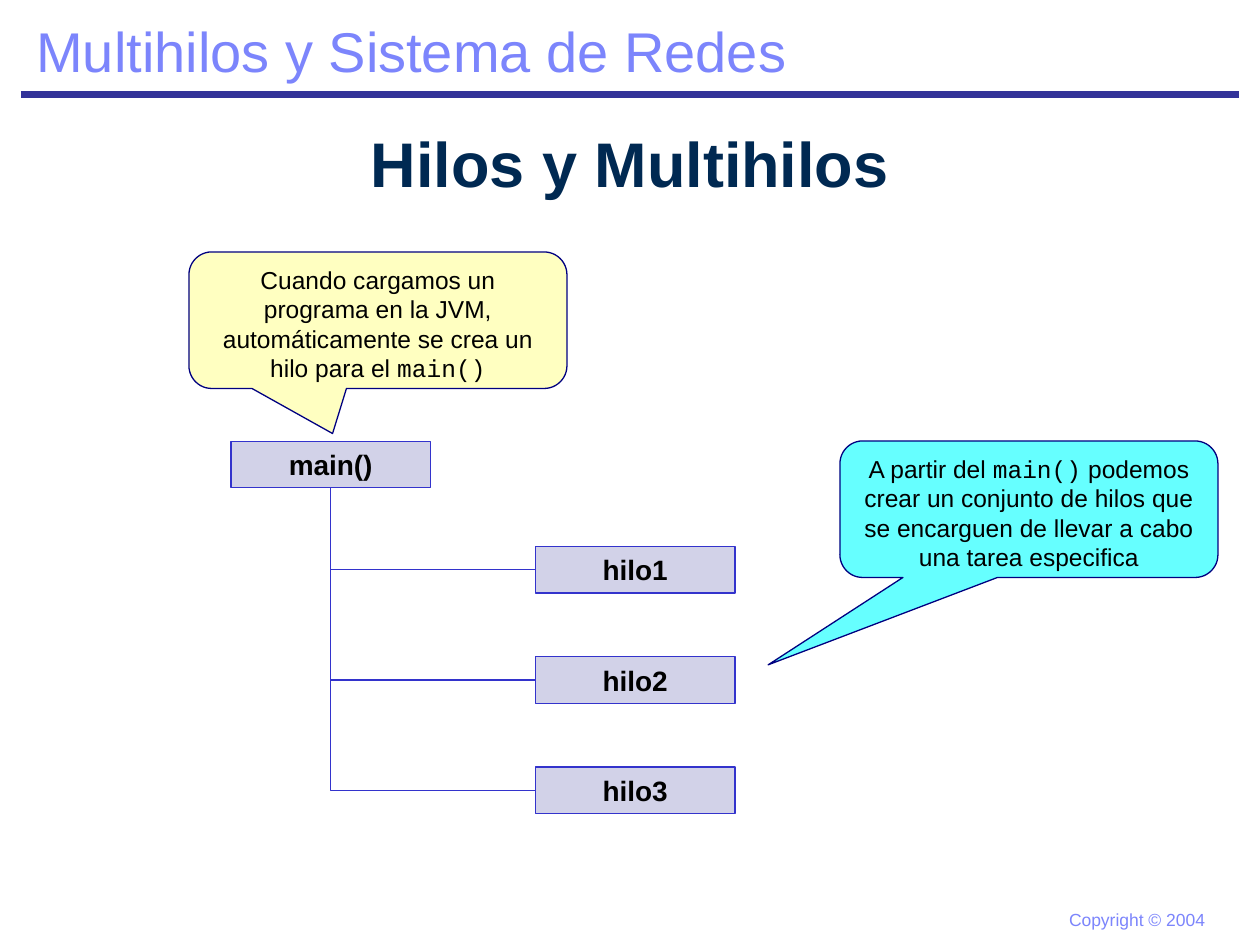
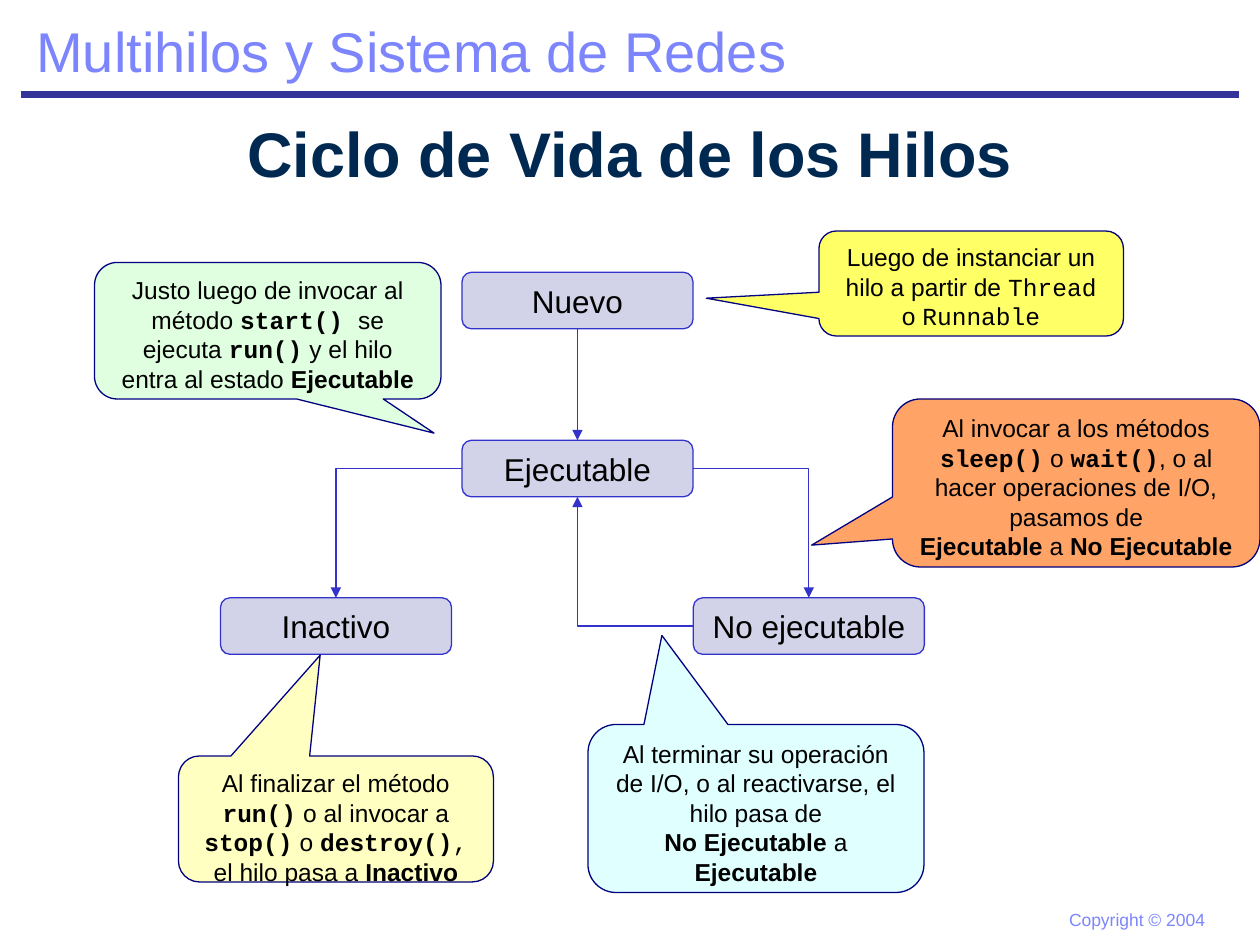
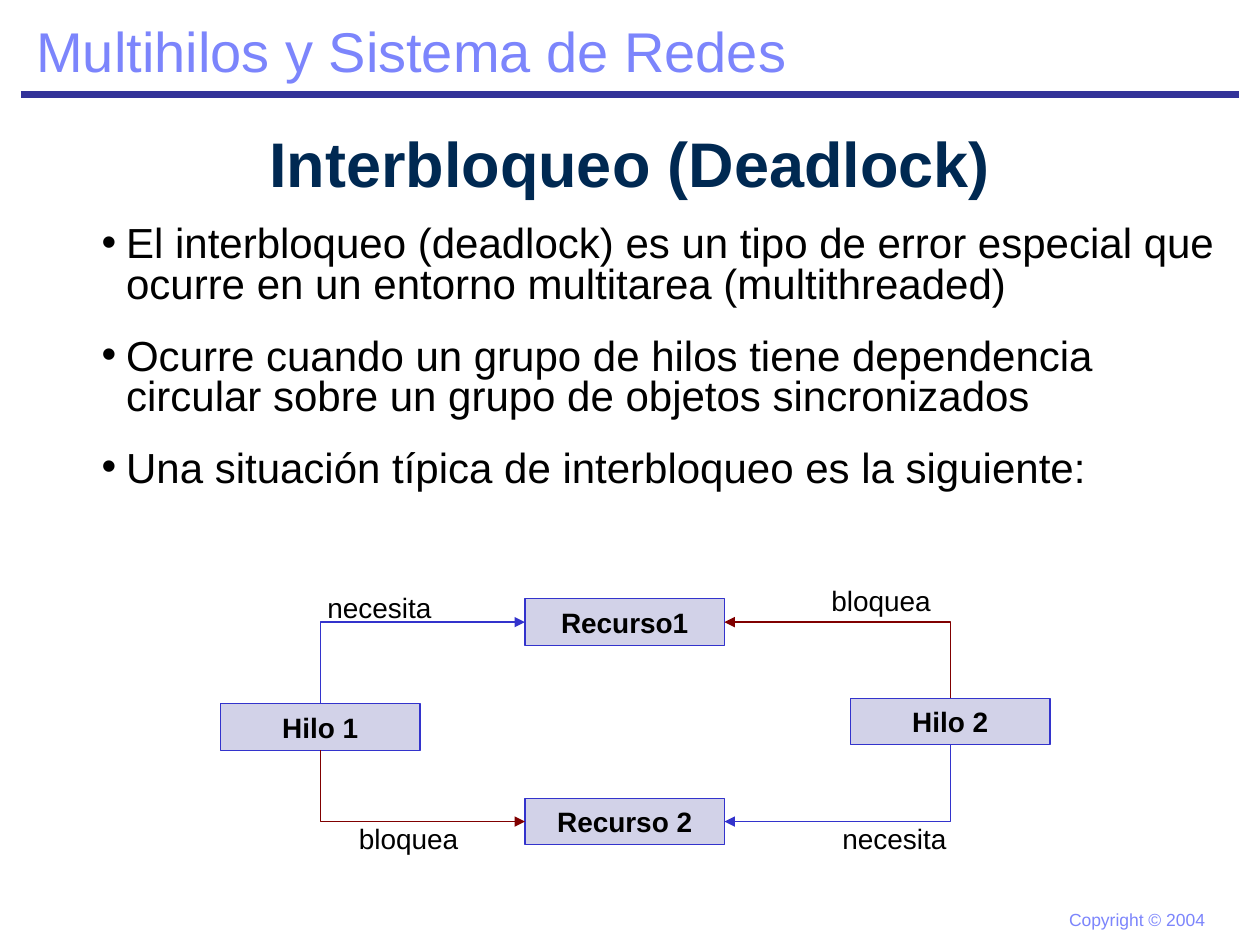
"""Builds three slides on threads, their life cycle and deadlock."""
import pptx
import pptx.dml.color
import pptx.enum.shapes
import pptx.enum.text
import pptx.oxml.ns
import pptx.util
from lxml import etree

Pt = pptx.util.Pt
RGBColor = pptx.dml.color.RGBColor
SHAPE = pptx.enum.shapes.MSO_SHAPE
CONNECTOR = pptx.enum.shapes.MSO_CONNECTOR
ALIGN = pptx.enum.text.PP_ALIGN
ANCHOR = pptx.enum.text.MSO_ANCHOR
qn = pptx.oxml.ns.qn

INDIGO = RGBColor(0x33, 0x33, 0x99)
BLUE = RGBColor(0x33, 0x33, 0xCC)
NAVY = RGBColor(0x00, 0x00, 0x80)
MAROON = RGBColor(0x80, 0x00, 0x00)
PERIWINKLE = RGBColor(0x7C, 0x85, 0xFC)
TITLE_BLUE = RGBColor(0x00, 0x29, 0x52)
BLACK = RGBColor(0x00, 0x00, 0x00)
CREAM = RGBColor(0xFF, 0xFF, 0x99)
CYAN = RGBColor(0x00, 0xFF, 0xFF)
YELLOW = RGBColor(0xFF, 0xFF, 0x00)
MINT = RGBColor(0xCC, 0xFF, 0xCC)
ORANGE = RGBColor(0xFF, 0x66, 0x00)
ICE = RGBColor(0xCC, 0xFF, 0xFF)

SANS, MONO = "Arial", "Courier New"
SLIDE_WIDTH, SLIDE_HEIGHT = 720, 540
TOP, LEFT, BOTTOM, RIGHT = range(4)

HEADER = "Multihilos y Sistema de Redes"
FOOTER = "Copyright © 2004"

BOX = dict(preset=SHAPE.RECTANGLE, width=114, height=26.6, size=16, bold=True, space_after=0)
STATE = dict(preset=SHAPE.FLOWCHART_ALTERNATE_PROCESS, width=132, height=32.3, size=18,
             bold=False, space_after=6)

THREADS = {
    "title": "Hilos y Multihilos",
    "title_top": 66,
    "node_style": BOX,
    "nodes": {"main()": (132, 252.2),
              **{f"hilo{number}": (306, 249.3 + 63 * number) for number in (1, 2, 3)}},
    "links": [(f"hilo{number}", LEFT, "main()", BOTTOM, BLUE, False) for number in (1, 2, 3)],
    "callouts": [
        ((108, 144, 216, 78), (-0.12, 0.83), CREAM,
         [[("Cuando cargamos un programa en la JVM, automáticamente se crea un hilo para el ", ""),
           ("main()", "mono")]]),
        ((480, 252, 216, 78), (-0.69, 1.14), CYAN,
         [[("A partir del ", ""), ("main()", "mono"),
           (" podemos crear un conjunto de hilos que se encarguen de llevar a cabo "
            "una tarea especifica", "")]]),
    ],
}

LIFE_CYCLE = {
    "title": "Ciclo de Vida de los Hilos",
    "title_top": 60,
    "node_style": STATE,
    "nodes": {"Nuevo": (264, 155.6), "Ejecutable": (264, 251.6),
              "No ejecutable": (396.2, 341.6), "Inactivo": (126, 341.6)},
    "links": [
        ("Nuevo", BOTTOM, "Ejecutable", TOP, BLUE, True),
        ("Ejecutable", LEFT, "Inactivo", TOP, BLUE, True),
        ("Ejecutable", RIGHT, "No ejecutable", TOP, BLUE, True),
        ("No ejecutable", LEFT, "Ejecutable", BOTTOM, BLUE, True),
    ],
    "callouts": [
        ((468, 132, 174, 60), (-0.87, 0.14), YELLOW,
         [[("Luego de instanciar un hilo a partir de ", ""), ("Thread", "mono"),
           (" o ", ""), ("Runnable", "mono")]]),
        ((54, 150, 198, 78), (0.48, 0.75), MINT,
         [[("Justo luego de invocar al método ", ""), ("start() ", "mono bold"),
           ("se ejecuta ", ""), ("run()", "mono bold"),
           (" y el hilo entra al estado ", ""), ("Ejecutable", "bold")]]),
        ((102, 432, 180, 72), (-0.05, -1.3), CREAM,
         [[("Al finalizar el método ", ""), ("run()", "mono bold"), (" o al invocar a ", ""),
           ("stop()", "mono bold"), (" o ", ""), ("destroy()", "mono bold"), (", ", "mono"),
           ("el hilo pasa a ", ""), ("Inactivo", "bold")]]),
        ((510, 228, 210, 96), (-0.72, 0.37), ORANGE,
         [[("Al invocar a los métodos ", ""), ("sleep()", "mono bold"), (" o ", ""),
           ("wait()", "mono bold"), (", o al hacer operaciones de I/O, pasamos de", "")],
          [("Ejecutable ", "bold"), ("a", ""), (" No Ejecutable", "bold")]]),
        ((336, 414, 192, 96), (-0.28, -1.03), ICE,
         [[("Al terminar su operación de I/O, o al reactivarse, el hilo pasa de", "")],
          [("No Ejecutable ", "bold"), ("a", ""), (" Ejecutable", "bold")]]),
    ],
}

DEADLOCK = {
    "title": "Interbloqueo (Deadlock)",
    "title_top": 66,
    "bullets": [
        "El interbloqueo (deadlock) es un tipo de error especial que ocurre en un entorno "
        "multitarea (multithreaded)",
        "Ocurre cuando un grupo de hilos tiene dependencia circular sobre un grupo de objetos "
        "sincronizados",
        "Una situación típica de interbloqueo es la siguiente:",
    ],
    "node_style": BOX,
    "nodes": {"Hilo 1": (126, 402.2), "Hilo 2": (486, 399),
              "Recurso1": (300, 342.2), "Recurso 2": (300, 456.2)},
    "links": [
        ("Hilo 2", TOP, "Recurso1", RIGHT, MAROON, True),
        ("Hilo 1", BOTTOM, "Recurso 2", LEFT, MAROON, True),
        ("Hilo 1", TOP, "Recurso1", LEFT, BLUE, True),
        ("Hilo 2", BOTTOM, "Recurso 2", RIGHT, BLUE, True),
    ],
    "labels": [("bloquea", 468, 330), ("bloquea", 198, 466),
               ("necesita", 180, 333.7), ("necesita", 474.3, 466)],
}


def add_run(paragraph, text, size, color=BLACK, bold=False, font=SANS):
    """Adds one formatted run."""
    run = paragraph.add_run()
    run.text = text
    run.font.name, run.font.size, run.font.bold = font, Pt(size), bold
    run.font.color.rgb = color


def add_text_box(slide, place):
    """Adds an empty text box and returns its text frame."""
    frame = slide.shapes.add_textbox(*map(Pt, place)).text_frame
    frame.word_wrap = True
    return frame


def add_label(slide, text, place, size, color=BLACK):
    """Adds a short left-aligned text."""
    add_run(add_text_box(slide, place).paragraphs[0], text, size, color)


def add_panel(slide, preset, place, fill, opacity, line, anchor):
    """Adds a translucent outlined shape."""
    shape = slide.shapes.add_shape(preset, *map(Pt, place))
    shape.shadow.inherit = False
    shape.fill.solid()
    shape.fill.fore_color.rgb = fill
    color = shape.fill._xPr.find(qn("a:solidFill"))[0]
    etree.SubElement(color, qn("a:alpha")).set("val", str(opacity * 1000))
    shape.line.color.rgb = line
    shape.line.width = Pt(0.75)
    shape.text_frame.word_wrap = True
    shape.text_frame.vertical_anchor = anchor
    return shape


def add_node(slide, text, left, top, style):
    """Adds a labelled diagram box."""
    place = (left, top, style["width"], style["height"])
    shape = add_panel(slide, style["preset"], place, INDIGO, 22, BLUE, ANCHOR.MIDDLE)
    paragraph = shape.text_frame.paragraphs[0]
    paragraph.alignment = ALIGN.CENTER
    paragraph.space_after = Pt(style["space_after"])
    add_run(paragraph, text, style["size"], bold=style["bold"])
    return shape


def add_callout(slide, place, tip, fill, paragraphs):
    """Adds a speech bubble whose tip is given relative to its centre."""
    shape = add_panel(slide, SHAPE.ROUNDED_RECTANGULAR_CALLOUT, place, fill, 60, NAVY, ANCHOR.TOP)
    shape.adjustments[0], shape.adjustments[1] = tip
    frame = shape.text_frame
    for index, runs in enumerate(paragraphs):
        paragraph = frame.add_paragraph() if index else frame.paragraphs[0]
        paragraph.alignment = ALIGN.CENTER
        for text, style in runs:
            add_run(paragraph, text, 14, bold="bold" in style,
                    font=MONO if "mono" in style else SANS)


def style_line(connector, color, width, arrow=False):
    """Formats a connector and removes its shadow."""
    connector.line.color.rgb = color
    connector.line.width = Pt(width)
    properties = connector._element.spPr
    if arrow:
        line = properties.find(qn("a:ln"))
        etree.SubElement(line, qn("a:tailEnd")).set("type", "triangle")
    etree.SubElement(properties, qn("a:effectLst"))


def add_link(slide, source, source_side, target, target_side, color, arrow):
    """Joins two nodes with a straight line or a single right-angle bend."""
    vertical_start = source_side in (TOP, BOTTOM)
    straight = vertical_start == (target_side in (TOP, BOTTOM))
    kind = CONNECTOR.STRAIGHT if straight else CONNECTOR.ELBOW
    connector = slide.shapes.add_connector(kind, 0, 0, 0, 0)
    connector.begin_connect(source, source_side)
    connector.end_connect(target, target_side)
    properties = connector._element.spPr
    if not straight:
        properties.find(qn("a:prstGeom")).set("prst", "bentConnector2")
    if vertical_start and not straight:
        across = connector.end_x - connector.begin_x
        down = connector.end_y - connector.begin_y
        center_x = (connector.begin_x + connector.end_x) // 2
        center_y = (connector.begin_y + connector.end_y) // 2
        connector.width, connector.height = abs(down), abs(across)
        connector.left = center_x - abs(down) // 2
        connector.top = center_y - abs(across) // 2
        connector.rotation = 90
        transform = properties.find(qn("a:xfrm"))
        transform.set("flipH", str(int(down < 0)))
        transform.set("flipV", str(int(across > 0)))
    style_line(connector, color, 0.75, arrow)


def add_bullets(slide, texts):
    """Adds the bulleted explanation."""
    frame = add_text_box(slide, (30, 126, 678, 192))
    for index, text in enumerate(texts):
        paragraph = frame.add_paragraph() if index else frame.paragraphs[0]
        properties = paragraph._p.get_or_add_pPr()
        properties.set("marL", str(Pt(35)))
        properties.set("indent", str(-Pt(14)))
        etree.SubElement(properties, qn("a:buFont")).set("typeface", SANS)
        etree.SubElement(properties, qn("a:buChar")).set("char", "•")
        paragraph.line_spacing = 0.8
        if index:
            paragraph.space_before = Pt(18)
        add_run(paragraph, text, 24)


def add_frame(slide, title, title_top):
    """Adds the header, rule, footer and title."""
    rule = slide.shapes.add_connector(CONNECTOR.STRAIGHT, Pt(12), Pt(54), Pt(708), Pt(54))
    style_line(rule, INDIGO, 4.5)
    add_label(slide, FOOTER, (603.8, 516, 100, 19.4), 10, PERIWINKLE)
    add_label(slide, HEADER, (13.7, 6, 460, 46), 32, PERIWINKLE)
    frame = add_text_box(slide, (0, title_top, SLIDE_WIDTH, 54))
    frame.vertical_anchor = ANCHOR.MIDDLE
    frame.paragraphs[0].alignment = ALIGN.CENTER
    add_run(frame.paragraphs[0], title, 36, TITLE_BLUE, bold=True)


def build_slide(presentation, content):
    """Builds one slide from its content."""
    slide = presentation.slides.add_slide(presentation.slide_layouts[6])
    add_frame(slide, content["title"], content["title_top"])
    if "bullets" in content:
        add_bullets(slide, content["bullets"])
    nodes = {text: add_node(slide, text, left, top, content["node_style"])
             for text, (left, top) in content["nodes"].items()}
    for source, source_side, target, target_side, color, arrow in content["links"]:
        add_link(slide, nodes[source], source_side, nodes[target], target_side, color, arrow)
    for callout in content.get("callouts", []):
        add_callout(slide, *callout)
    for text, left, top in content.get("labels", []):
        add_label(slide, text, (left, top, 80, 26.6), 16)


def main():
    """Builds and saves the presentation."""
    presentation = pptx.Presentation()
    presentation.slide_width, presentation.slide_height = Pt(SLIDE_WIDTH), Pt(SLIDE_HEIGHT)
    for content in (THREADS, LIFE_CYCLE, DEADLOCK):
        build_slide(presentation, content)
    presentation.save("out.pptx")


if __name__ == "__main__":
    main()
